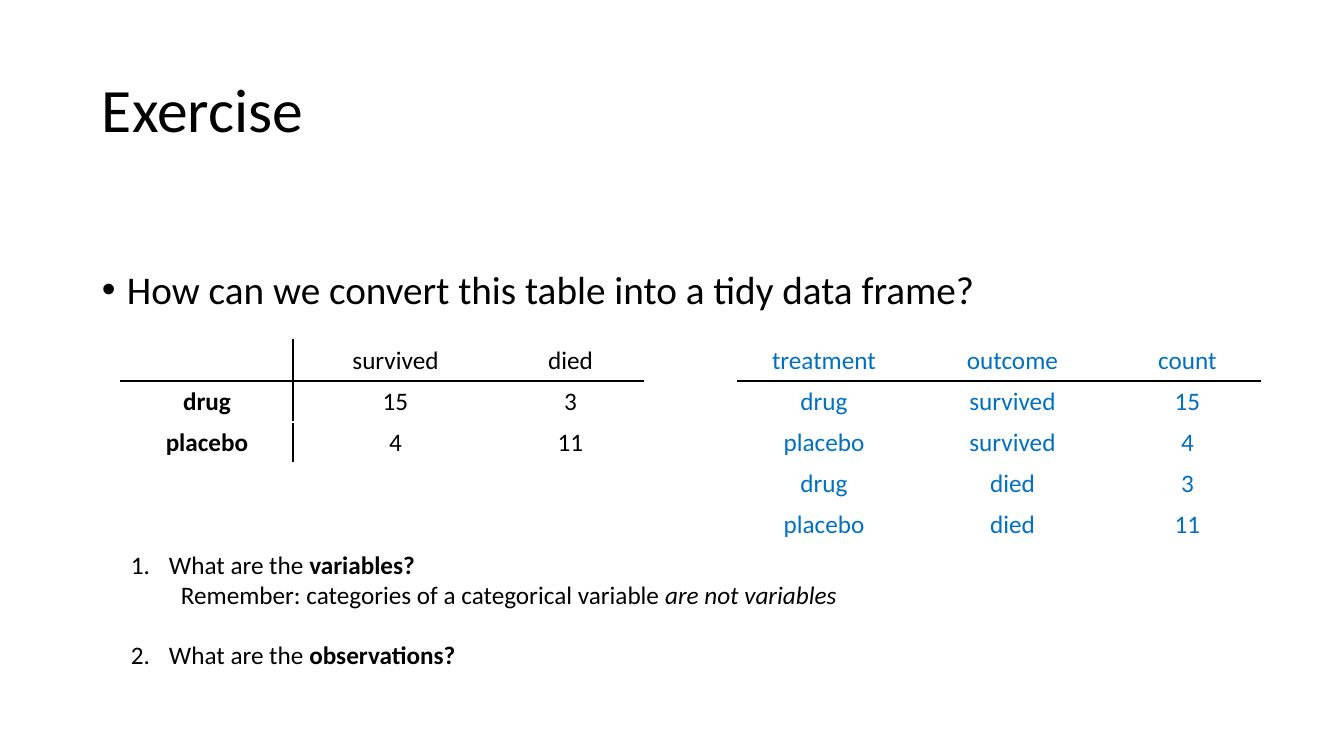
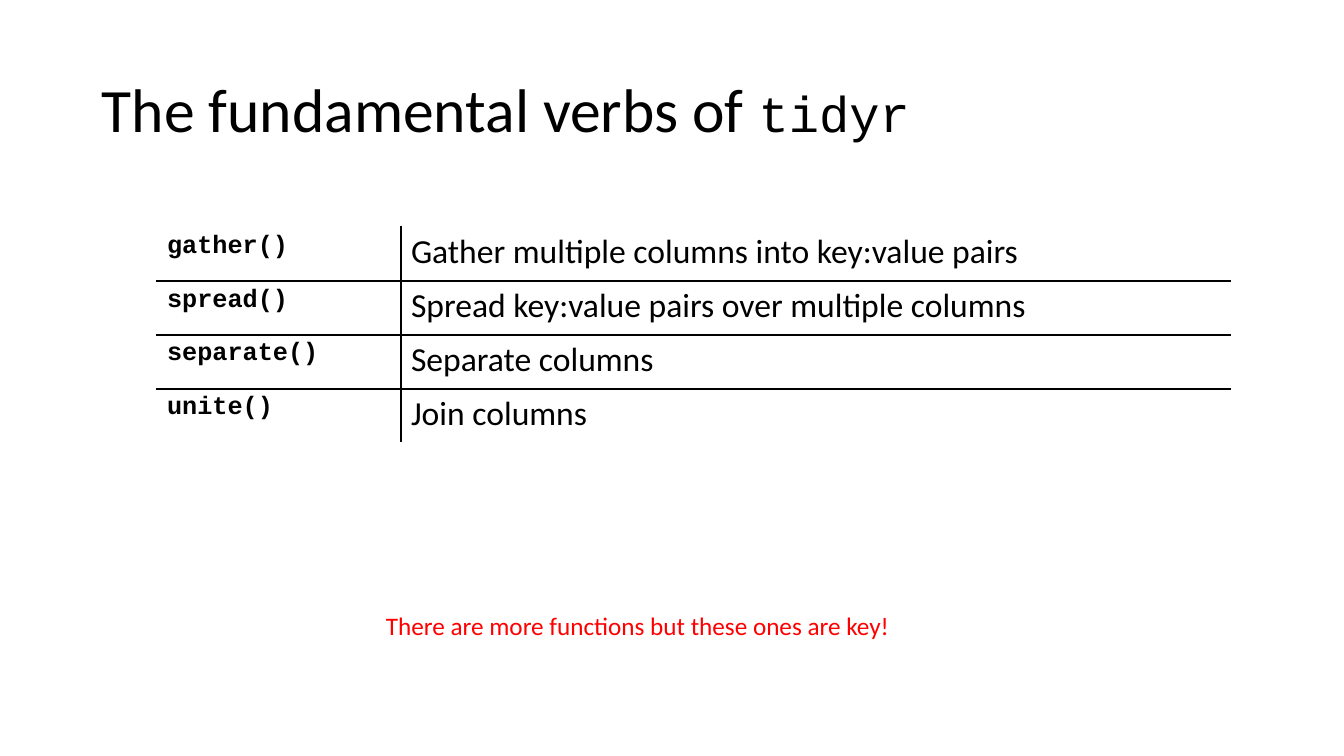
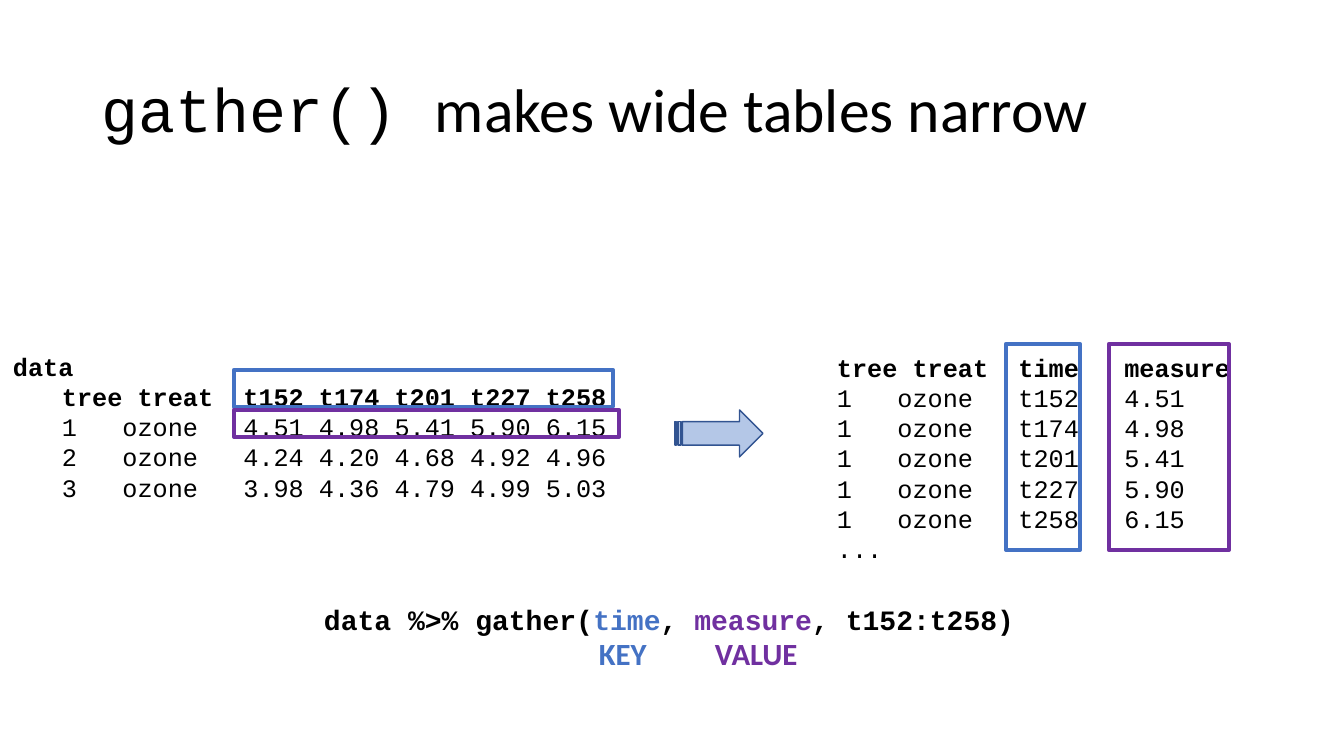
from lxml import etree
from pptx import Presentation
from pptx.dml.color import RGBColor
from pptx.enum.shapes import MSO_SHAPE as SHAPE
from pptx.enum.text import MSO_ANCHOR as ANCHOR, PP_ALIGN as ALIGN
from pptx.oxml.ns import qn
from pptx.util import Emu, Pt

SCALE = 914400 / 100.8
BLACK = RGBColor(0x00, 0x00, 0x00)
RED = RGBColor(0xFF, 0x00, 0x00)
ANSWER_BLUE = RGBColor(0x00, 0x70, 0xC0)
KEY_BLUE = RGBColor(0x44, 0x72, 0xC4)
VALUE_PURPLE = RGBColor(0x70, 0x30, 0xA0)
ARROW_FILL = RGBColor(0xB4, 0xC7, 0xE7)
ARROW_LINE = RGBColor(0x32, 0x54, 0x91)
SANS, MONO = "Calibri", "Courier New"


def write(paragraph, text, size=18, font=SANS, color=BLACK, bold=False, italic=False):
    """Append one formatted run to a paragraph."""
    run = paragraph.add_run()
    run.text = text
    run.font.size = Pt(size)
    run.font.name = font
    run.font.color.rgb = color
    run.font.bold = bold
    run.font.italic = italic


def add_box(slide, box, anchor=ANCHOR.TOP, left_inset=10, top_inset=5):
    """Add a wrapping text box, in pixels, and return its text frame."""
    text_box = slide.shapes.add_textbox(*[Emu(round(v * SCALE)) for v in box])
    frame = text_box.text_frame
    frame.word_wrap = True
    frame.vertical_anchor = anchor
    frame.margin_left = Emu(round(left_inset * SCALE))
    frame.margin_top = Emu(round(top_inset * SCALE))
    return frame


presentation = Presentation()
presentation.slide_width = Emu(round(1344 * SCALE))
presentation.slide_height = Emu(round(756 * SCALE))

# Slides and titles
titles = [
    [("Exercise", {})],
    [("The fundamental verbs of ", {}), ("tidyr", {"font": MONO, "size": 36})],
    [("gather() ", {"font": MONO}), ("makes wide tables narrow", {})],
]
slides = []
for title in titles:
    slide = presentation.slides.add_slide(presentation.slide_layouts[6])
    slides.append(slide)
    paragraph = add_box(slide, (92, 40, 1159, 146), anchor=ANCHOR.MIDDLE).paragraphs[0]
    paragraph.line_spacing = 0.9
    for text, style in title:
        write(paragraph, text, **{"size": 44, **style})
exercise, verbs, gather = slides

# Tables: black rules run below every row in ruled_rows and after every column in ruled_columns
contingency_rows = [["", "survived", "died"], ["drug", "15", "3"], ["placebo", "4", "11"]]
tidy_rows = [["treatment", "outcome", "count"]]
for column in (1, 2):
    for row in contingency_rows[1:]:
        tidy_rows.append([row[0], contingency_rows[0][column], row[column]])
verb_rows = [
    ["gather()", "Gather multiple columns into key:value pairs"],
    ["spread()", "Spread key:value pairs over multiple columns"],
    ["separate()", "Separate columns"],
    ["unite()", "Join columns"],
]
plain, heading = {}, {"bold": True}
answer = {"color": ANSWER_BLUE}
exercise_widths = (172, 205, 145)
tables = [
    (exercise, 121, 340, exercise_widths, 41, contingency_rows,
     (heading, plain, plain), ALIGN.CENTER, {0}, {0}),
    (exercise, 738, 340, exercise_widths, 41, tidy_rows,
     (answer, answer, answer), ALIGN.CENTER, {0}, set()),
    (verbs, 157, 227, (244, 829), 54, verb_rows,
     ({"font": MONO, "bold": True}, {"size": 24}), ALIGN.LEFT, {0, 1, 2}, {0}),
]
for slide, left, top, widths, row_height, rows, styles, align, ruled_rows, ruled_columns in tables:
    box = (left, top, sum(widths), row_height * len(rows))
    table = slide.shapes.add_table(
        len(rows), len(widths), *[Emu(round(v * SCALE)) for v in box]).table
    table.first_row = False
    table.horz_banding = False
    for column, width in enumerate(widths):
        table.columns[column].width = Emu(round(width * SCALE))
    for row, texts in enumerate(rows):
        table.rows[row].height = Emu(round(row_height * SCALE))
        for column, text in enumerate(texts):
            cell = table.cell(row, column)
            cell.fill.background()
            paragraph = cell.text_frame.paragraphs[0]
            paragraph.alignment = align
            if text:
                write(paragraph, text, **styles[column])
            sides = [
                ("a:lnL", column - 1 in ruled_columns),
                ("a:lnR", column in ruled_columns),
                ("a:lnT", row - 1 in ruled_rows),
                ("a:lnB", row in ruled_rows),
            ]
            properties = cell._tc.get_or_add_tcPr()
            ruled_sides = [side for side, ruled in sides if ruled]
            for index, side in enumerate(ruled_sides):
                border = etree.Element(qn(side), w="12700")
                fill = etree.SubElement(border, qn("a:solidFill"))
                etree.SubElement(fill, qn("a:srgbClr"), val=str(BLACK))
                properties.insert(index, border)

# Exercise: the question and its numbered hints
question = add_box(exercise, (92, 202, 1159, 480), top_inset=63)
hints = add_box(exercise, (121, 544, 761, 163))
bullet = ("a:buChar", {"char": "•"})
lines = [
    (question, 25, -25, bullet, 0,
     [("How can we convert this table into a tidy data frame?", {"size": 28})]),
    (hints, 38, -38, ("a:buAutoNum", {"type": "arabicPeriod"}), 0,
     [("What are the ", {}), ("variables?", {"bold": True})]),
    (hints, 50, 0, None, 0,
     [("Remember: categories of a categorical variable ", {}),
      ("are not variables", {"italic": True})]),
    (hints, 38, -38, ("a:buAutoNum", {"type": "arabicPeriod", "startAt": "2"}), 21.6,
     [("What are the ", {}), ("observations?", {"bold": True})]),
]
for frame, margin, indent, marker, space_before, runs in lines:
    paragraph = frame.paragraphs[0]
    if paragraph.runs:
        paragraph = frame.add_paragraph()
    paragraph.space_before = Pt(space_before)
    properties = paragraph._p.get_or_add_pPr()
    properties.set("marL", str(round(margin * SCALE)))
    properties.set("indent", str(round(indent * SCALE)))
    if marker:
        tag, attributes = marker
        if tag == "a:buChar":
            etree.SubElement(properties, qn("a:buFont"), typeface="Arial")
        etree.SubElement(properties, qn(tag), attributes)
    for text, style in runs:
        write(paragraph, text, **style)

# Verbs: closing remark
remark = add_box(verbs, (376, 605, 599, 40))
write(remark.paragraphs[0], "There are more functions but these ones are key!", color=RED)

# Gather: wide and narrow listings, aligned on tab stops counted in characters
CHARACTER = 15.12
times = ["t152", "t174", "t201", "t227", "t258"]
measures = ["4.51 4.98 5.41 5.90 6.15", "4.24 4.20 4.68 4.92 4.96", "3.98 4.36 4.79 4.99 5.03"]
wide = ["data", "\ttree treat\t" + " ".join(times)]
wide += [f"\t{tree}\tozone\t{values}" for tree, values in enumerate(measures, 1)]
narrow = ["\ttree treat\ttime\tmeasure"]
narrow += [f"\t1\tozone\t{time}\t{value}" for time, value in zip(times, measures[0].split())]
narrow += ["\t..."]
listings = [
    ((2, 344, 649, 163), 11, 49, wide, 2),
    ((776, 345, 568, 254), 10, 51, narrow, 1),
]
for box, inset, indent, texts, bold_lines in listings:
    frame = add_box(gather, box, left_inset=inset, top_inset=7)
    for number, text in enumerate(texts):
        paragraph = frame.add_paragraph() if number else frame.paragraphs[0]
        paragraph.line_spacing = Pt(21.6)
        tabs = etree.SubElement(paragraph._p.get_or_add_pPr(), qn("a:tabLst"))
        for stop in (0, 4, 12, 19):
            position = round((indent + stop * CHARACTER) * SCALE)
            etree.SubElement(tabs, qn("a:tab"), pos=str(position), algn="l")
        write(paragraph, text, font=MONO, bold=number < bold_lines)

# Gather: frames around keys and values, and the arrow between the listings
marks = [
    (SHAPE.RECTANGLE, (234, 370, 379, 37), None, KEY_BLUE, 3),
    (SHAPE.RECTANGLE, (1006, 344, 74, 206), None, KEY_BLUE, 3),
    (SHAPE.RECTANGLE, (1109, 344, 120, 206), None, VALUE_PURPLE, 3),
    (SHAPE.RECTANGLE, (234, 410, 385, 27), None, VALUE_PURPLE, 3),
    (SHAPE.STRIPED_RIGHT_ARROW, (675, 410, 88, 47), ARROW_FILL, ARROW_LINE, 1),
]
for kind, box, fill_color, line_color, line_width in marks:
    shape = gather.shapes.add_shape(kind, *[Emu(round(v * SCALE)) for v in box])
    shape.shadow.inherit = False
    if fill_color is None:
        shape.fill.background()
    else:
        shape.fill.solid()
        shape.fill.fore_color.rgb = fill_color
    shape.line.color.rgb = line_color
    shape.line.width = Pt(line_width)

# Gather: the call and the names of its arguments
call = add_box(gather, (314, 568, 779, 72), top_inset=35).paragraphs[0]
call_parts = [
    ("data %>% gather(", BLACK), ("time", KEY_BLUE), (", ", BLACK),
    ("measure", VALUE_PURPLE), (", t152:t258)", BLACK),
]
for text, color in call_parts:
    write(call, text, size=20, font=MONO, color=color, bold=True)
for text, left, width, color in [("KEY", 589, 97, KEY_BLUE), ("VALUE", 705, 119, VALUE_PURPLE)]:
    label = add_box(gather, (left, 630, width, 47))
    write(label.paragraphs[0], text, size=22, color=color, bold=True)

presentation.save("out.pptx")
